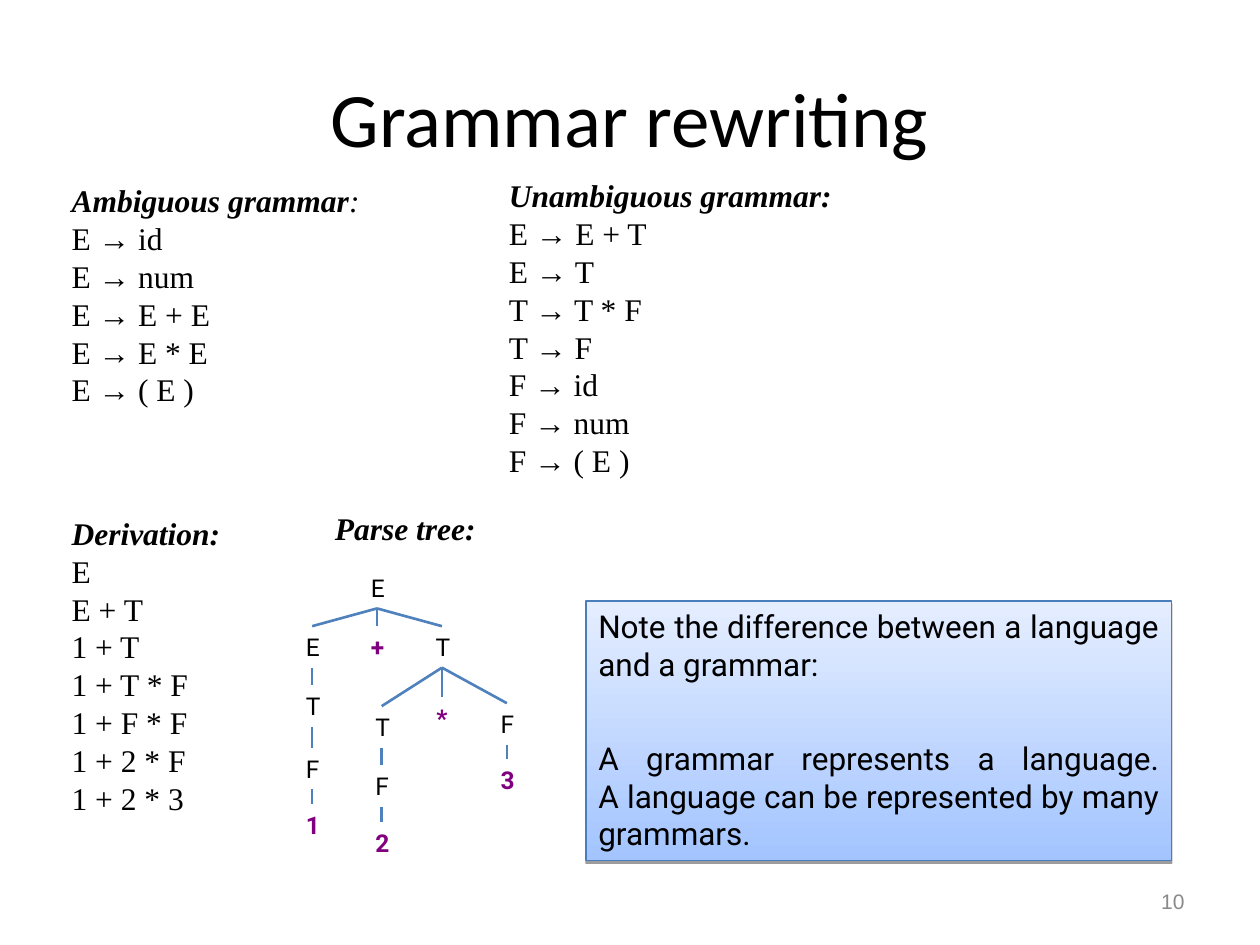
from lxml import etree
from pptx import Presentation
from pptx.dml.color import RGBColor
from pptx.enum.shapes import MSO_CONNECTOR, MSO_SHAPE
from pptx.enum.text import MSO_ANCHOR, PP_ALIGN
from pptx.oxml.ns import qn
from pptx.util import Inches, Pt

LEFT, MID, RIGHT, JUST = PP_ALIGN.LEFT, PP_ALIGN.CENTER, PP_ALIGN.RIGHT, PP_ALIGN.JUSTIFY
TOP, CENTRE = MSO_ANCHOR.TOP, MSO_ANCHOR.MIDDLE
STRAIGHT, RECT = MSO_CONNECTOR.STRAIGHT, MSO_SHAPE.RECTANGLE
HUES = {"ink": "000000", "leaf": "800080", "edge": "4F81BD", "page": "898989",
        "rim": "4A7EBB", "low": "A3C4FF", "high": "E5EEFF"}
SERIF, SANS, ARIAL, BODY = "Times New Roman", "Roboto", "Arial", "Calibri"
ARROW = "→"

# Boxes are left, top, width, height on a grid of 100 columns by 100 rows
WIDE, HIGH = Inches(10), Inches(7.5)
COL, ROW = WIDE / 100, HIGH / 100

AMBIG = ["E → id", "E → num", "E → E + E", "E → E * E", "E → ( E )"]
UNAMBIG = ["E → E + T", "E → T", "T → T * F", "T → F", "F → id", "F → num", "F → ( E )"]
STEPS = ["E", "E + T", "1 + T", "1 + T * F", "1 + F * F", "1 + 2 * F", "1 + 2 * 3"]

# Symbol, index of parent, centre and top as shares of the tree's box
NODES = [("E", None, 0.36, 0), ("E", 0, 0.08, 0.2), ("+", 0, 0.36, 0.2),
         ("T", 0, 0.64, 0.2), ("T", 1, 0.08, 0.4), ("F", 4, 0.08, 0.61),
         ("1", 5, 0.08, 0.8), ("T", 3, 0.38, 0.47), ("*", 3, 0.64, 0.44),
         ("F", 3, 0.92, 0.46), ("F", 7, 0.38, 0.67), ("2", 10, 0.38, 0.86),
         ("3", 9, 0.92, 0.65)]


def tint(hue):
    return RGBColor.from_string(HUES[hue])


def place(box):
    x, y, w, h = box
    return round(x * COL), round(y * ROW), round(w * COL), round(h * ROW)


def style(part, face, size, hue="ink", bold=False, slant=False):
    font = part.font
    font.name, font.size, font.bold, font.italic = face, Pt(size), bold, slant
    font.color.rgb = tint(hue)


def frame(slide, box, wrap=True, anchor=TOP):
    shape = slide.shapes.add_textbox(*place(box))
    shape.text_frame.word_wrap = wrap
    shape.text_frame.vertical_anchor = anchor
    return shape


def label(slide, box, text, face, size, hue="ink", bold=False, align=MID, wrap=True):
    shape = frame(slide, box, wrap, CENTRE)
    para = shape.text_frame.paragraphs[0]
    para.text, para.alignment = text, align
    style(para, face, size, hue, bold)
    return shape


def listing(slide, box, head, lines=(), tail=""):
    """A bold heading, a lighter tail to it, and one line per rule."""
    text = frame(slide, box).text_frame
    para = text.paragraphs[0]
    para.text = head
    style(para, SERIF, 18, bold=True, slant=True)
    if tail:
        run = para.add_run()
        run.text, run.font.bold = tail, False
    for line in lines:
        para = text.add_paragraph()
        style(para, SERIF, 18)
        left, arrow, right = line.partition(ARROW)
        for part in filter(None, (left, arrow, right)):
            run = para.add_run()
            run.text = part
            if part == ARROW:
                run.font.name = ARIAL


def link(slide, top, low):
    line = slide.shapes.add_connector(STRAIGHT, 0, 0, 0, 0)
    line.begin_connect(top, 2)
    line.end_connect(low, 0)
    line.line.color.rgb, line.line.width = tint("edge"), Pt(1.5)
    etree.SubElement(line.element.spPr, qn("a:effectLst"))


def tree(slide, box):
    x, y, w, h = box
    wide, high = 0.16 * w, 0.14 * h
    made = []
    for sign, top, mid, drop in NODES:
        leaf = sign in "+*123"
        spot = (x + mid * w - wide / 2, y + drop * h, wide, high)
        made.append(label(slide, spot, sign, SANS, 14, "leaf" if leaf else "ink",
                          leaf, wrap=False))
        if top is not None:
            link(slide, made[top], made[-1])


def shade(shape):
    """A thin, sharp shadow straight below the shape."""
    shape.shadow.inherit = False
    glow = shape.element.spPr.find(qn("a:effectLst"))
    drop = etree.SubElement(glow, qn("a:outerShdw"), dist=str(Pt(1.6)),
                            dir="5400000", rotWithShape="0")
    hue = etree.SubElement(drop, qn("a:srgbClr"), val=HUES["ink"])
    etree.SubElement(hue, qn("a:alpha"), val="38000")


def note(slide, box, paras):
    shape = slide.shapes.add_shape(RECT, *place(box))
    shape.fill.gradient()
    shape.fill.gradient_angle = 90
    for stop, hue in zip(shape.fill.gradient_stops, ("low", "high")):
        stop.color.rgb = tint(hue)
    shape.line.color.rgb, shape.line.width = tint("rim"), Pt(0.75)
    shade(shape)
    text = shape.text_frame
    text.word_wrap, text.vertical_anchor = True, TOP
    for i, (words, gap) in enumerate(paras):
        para = text.add_paragraph() if i else text.paragraphs[0]
        para.text, para.alignment, para.space_before = words, JUST, Pt(gap)
        style(para, SANS, 18)


def main():
    deck = Presentation()
    deck.slide_width, deck.slide_height = WIDE, HIGH
    slide = deck.slides.add_slide(deck.slide_layouts[6])

    # Title and page number
    label(slide, (5, 4, 90, 16.67), "Grammar rewriting", BODY, 44)
    label(slide, (71.7, 92.67, 23.3, 5.33), "10", ARIAL, 12, "page", align=RIGHT)

    # Grammars above, derivation and parse tree below
    listing(slide, (4.7, 18.53, 26, 25.33), "Ambiguous grammar", AMBIG, ":")
    listing(slide, (39.4, 18, 29.9, 33.33), "Unambiguous grammar:", UNAMBIG)
    listing(slide, (4.7, 53.73, 13.8, 33.33), "Derivation:", STEPS)
    listing(slide, (25.6, 53.2, 13.8, 5.33), "Parse tree:")
    tree(slide, (23.3, 60, 18.4, 31.33))

    # Remark
    note(slide, (46.5, 63.6, 46.5, 27.47), [
        ("Note the difference between a language and a grammar:", 11.2),
        ("A grammar represents a language.\v"
         "A language can be represented by many grammars.", 32)])
    deck.save("out.pptx")


if __name__ == "__main__":
    main()
